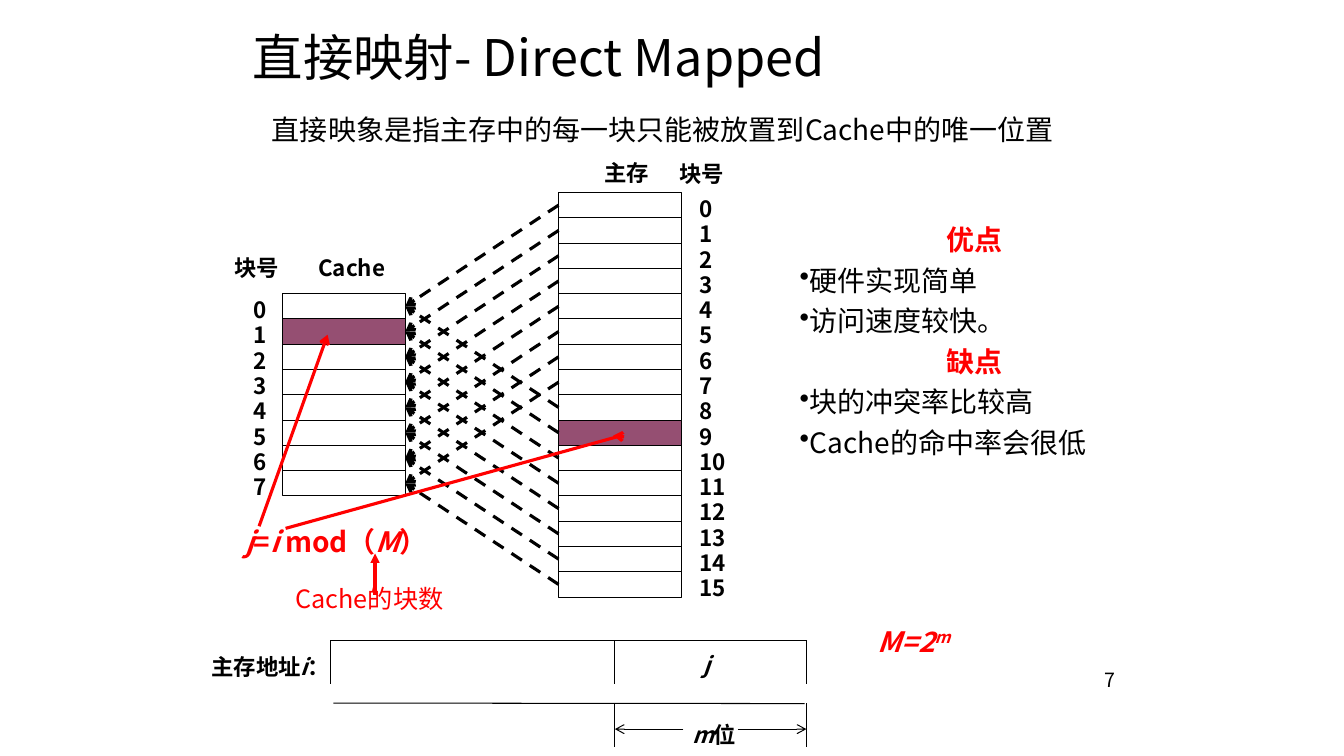
"""Slide on direct-mapped caches: memory blocks, cache blocks and address fields."""
from dataclasses import dataclass

from lxml.etree import SubElement
from pptx import Presentation
from pptx.dml.color import RGBColor
from pptx.enum.dml import MSO_LINE_DASH_STYLE as Dash
from pptx.enum.shapes import MSO_CONNECTOR as Link, MSO_SHAPE as Preset
from pptx.enum.text import MSO_ANCHOR as Anchor, MSO_AUTO_SIZE as Fit, PP_ALIGN as Align
from pptx.oxml.ns import qn
from pptx.util import Emu, Pt


@dataclass(frozen=True)
class Theme:
    font: str = "Noto Sans CJK SC"
    ink: str = "000000"
    accent: str = "FF0000"
    mapped: str = "954F72"
    title: int = 36
    body: int = 20
    note: int = 18
    label: int = 16
    number: int = 14
    thin: float = 0.75
    thick: float = 2.25


THEME = Theme()
COLUMNS, ROWS = 160, 90
CELL = 76200

LABEL = dict(size=THEME.label, bold=True)
RED = dict(size=THEME.body, bold=True, color=THEME.accent)
PLAIN = dict(size=THEME.body)
ITALIC = dict(italic=True)

CAPTIONS = [
    ((28.9, 3.35, 98.3, 7.8), dict(size=THEME.title), [("直接映射- Direct Mapped", {})],
     dict(line_spacing=0.9)),
    ((31.2, 12.85, 98.9, 5.3), PLAIN, [("直接映象是指主存中的每一块只能被放置到Cache中的唯一位置", {})], {}),
    ((79.7, 18.5, 11.9, 4.4), LABEL, [("块号", {})], {}),
    ((70.8, 18.4, 11.9, 4.4), LABEL, [("主存", {})], {}),
    ((26.75, 29.65, 11.9, 4.4), LABEL, [("块号", {})], {}),
    ((36.7, 29.65, 11.9, 4.4), LABEL, [("Cache", {})], {}),
    ((24, 77.15, 30, 4.4), LABEL, [("主存地址", {}), ("i", ITALIC), ("：", {})], {}),
    ((80.5, 76.9, 7.3, 4.4), LABEL, [("j", ITALIC)], dict(alignment=Align.CENTER)),
    ((80, 85.2, 10, 4.4), LABEL, [("m", ITALIC), ("位", {})], dict(alignment=Align.CENTER)),
    ((34, 68.9, 29, 4.8), dict(size=THEME.note, color=THEME.accent), [("Cache的块数", {})], {}),
    ((28, 61.8, 28, 5.1), RED,
     [("j", ITALIC), ("=", {}), ("i", ITALIC), (" mod（", {}), ("M", ITALIC), ("）", {})], {}),
    ((103.3, 73.7, 12.7, 5.3), RED, [("M=2", ITALIC), ("m", dict(italic=True, raised=True))], {}),
]
PAGE_NUMBER = ((106, 77.75, 28, 6.25), "7")
REVIEW = [("优点", ["硬件实现简单", "访问速度较快。"]),
          ("缺点", ["块的冲突率比较高", "Cache的命中率会很低"])]
REVIEW_BOX = (94, 25.9, 44, 35.5)

BLOCK_WIDTH, BLOCK_HEIGHT = 14.65, 3.01
MEMORY = dict(left=66.5, top=22.92, count=16, marked=9, label_left=82.05, label_width=7.2)
CACHE = dict(left=33.6, top=MEMORY["top"] + 4 * BLOCK_HEIGHT, count=8, marked=1,
             label_left=29.05, label_width=3.7)

FIELD_EDGES = FIELD_LEFT, FIELD_SPLIT, FIELD_RIGHT = 39.4, 73.2, 96
FIELD_TOP, FIELD_BOTTOM, TICK, SPAN_Y = 76.2, 83.7, 5.28, 86.8
FIELD_LINES = [
    (FIELD_LEFT, FIELD_TOP, FIELD_RIGHT, FIELD_TOP),
    *[(edge, FIELD_TOP, edge, FIELD_TOP + TICK) for edge in FIELD_EDGES],
    (FIELD_LEFT + 0.3, FIELD_BOTTOM, FIELD_RIGHT - 0.2, FIELD_BOTTOM + 0.06),
    *[(edge, FIELD_BOTTOM, edge, FIELD_BOTTOM + TICK) for edge in FIELD_EDGES[1:]],
]
FIELD_SPANS = [(81.35, SPAN_Y, FIELD_SPLIT, SPAN_Y), (87.85, SPAN_Y, FIELD_RIGHT, SPAN_Y)]
TO_CACHE = (30.85, 62.65, 39, 39.85)
TO_COUNT = (44.65, 65.9, 44.65, 70.8)
TO_MEMORY = [(34, 62.9), (74, 51.85), (73, 51.85)]


def grid(*lengths):
    return [Emu(round(length * CELL)) for length in lengths]


def apply(target, formats):
    for name, value in formats.items():
        setattr(target, name, value)


def write(paragraph, text, size, color=THEME.ink, bold=False, italic=False, raised=False):
    run = paragraph.add_run()
    run.text = text
    apply(run.font, dict(name=THEME.font, size=Pt(size), bold=bold, italic=italic))
    run.font.color.rgb = RGBColor.from_string(color)
    properties = run._r.get_or_add_rPr()
    SubElement(properties, qn("a:ea"), typeface=THEME.font)
    if raised:
        properties.set("baseline", "30000")


def frame(slide, box, **formats):
    text_frame = slide.shapes.add_textbox(*grid(*box)).text_frame
    apply(text_frame, dict(word_wrap=True, auto_size=Fit.SHAPE_TO_FIT_TEXT) | formats)
    return text_frame


def caption(slide, box, style, pieces, layout, **formats):
    paragraph = frame(slide, box, **formats).paragraphs[0]
    apply(paragraph, layout)
    for text, extra in pieces:
        write(paragraph, text, **(style | extra))


def stroke(shape, color=THEME.ink, width=THEME.thin, dash=None, **ends):
    shape.line.color.rgb = RGBColor.from_string(color)
    shape.line.width = Pt(width)
    if dash:
        shape.line.dash_style = dash
    for end, kind in ends.items():
        SubElement(shape.line._get_or_add_ln(), qn(f"a:{end}End"), type=kind)


def connect(slide, points, **look):
    link = slide.shapes.add_connector(Link.STRAIGHT, *grid(*points))
    stroke(link, **look)
    SubElement(link._element.spPr, qn("a:effectLst"))
    return link


def stack(slide, left, top, count, marked, label_left, label_width):
    blocks = []
    for number in range(count):
        y = top + number * BLOCK_HEIGHT
        block = slide.shapes.add_shape(Preset.RECTANGLE, *grid(left, y, BLOCK_WIDTH, BLOCK_HEIGHT))
        block.shadow.inherit = False
        if number == marked:
            block.fill.solid()
            block.fill.fore_color.rgb = RGBColor.from_string(THEME.mapped)
        else:
            block.fill.background()
        stroke(block)
        caption(slide, (label_left, y - 0.28, label_width, 4.4), LABEL, [(str(number), {})], {})
        blocks.append(block)
    return blocks


def review(slide):
    text_frame = frame(slide, REVIEW_BOX)
    lines = [line for heading, points in REVIEW
             for line in [(heading, True), *[(point, False) for point in points]]]
    for index, (text, is_heading) in enumerate(lines):
        paragraph = text_frame.add_paragraph() if index else text_frame.paragraphs[0]
        if index:
            paragraph.space_before = Pt(5)
        if is_heading:
            paragraph.alignment = Align.CENTER
        else:
            SubElement(paragraph._p.get_or_add_pPr(), qn("a:buChar"), char="•")
        write(paragraph, text, **(RED if is_heading else PLAIN))


def main():
    deck = Presentation()
    deck.slide_width, deck.slide_height = grid(COLUMNS, ROWS)
    slide = deck.slides.add_slide(deck.slide_layouts[6])

    for points in FIELD_LINES:
        connect(slide, points)
    for points in FIELD_SPANS:
        connect(slide, points, tail="arrow")
    review(slide)

    cache, memory = stack(slide, **CACHE), stack(slide, **MEMORY)
    for number, block in enumerate(memory):
        link = connect(slide, (0, 0, 1, 1), width=THEME.thick, dash=Dash.DASH, tail="arrow")
        link.begin_connect(block, 1)
        link.end_connect(cache[number % len(cache)], 3)

    for item in CAPTIONS:
        caption(slide, *item)
    box, number = PAGE_NUMBER
    caption(slide, box, dict(size=THEME.number), [(number, {})], dict(alignment=Align.RIGHT),
            vertical_anchor=Anchor.MIDDLE, auto_size=Fit.NONE)

    red = dict(color=THEME.accent, width=THEME.thick)
    start, *rest = [grid(*point) for point in TO_MEMORY]
    builder = slide.shapes.build_freeform(*start)
    builder.add_line_segments(rest, close=False)
    pointer = builder.convert_to_shape()
    pointer.shadow.inherit = False
    pointer.fill.background()
    stroke(pointer, **red, tail="arrow")
    connect(slide, TO_CACHE, **red, tail="arrow")
    connect(slide, TO_COUNT, **red, head="triangle")

    deck.save("out.pptx")


if __name__ == "__main__":
    main()
